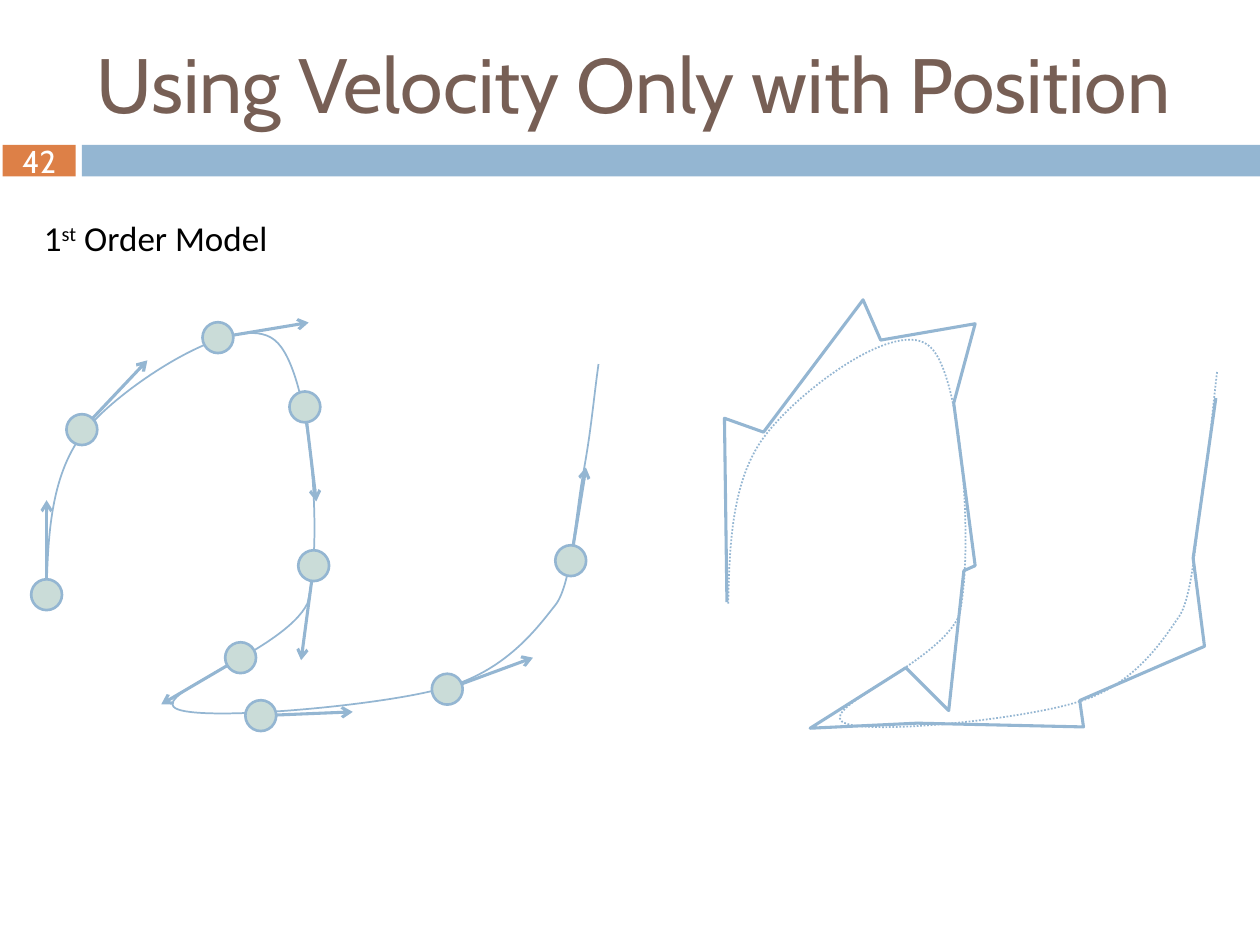
from dataclasses import dataclass

from lxml.etree import SubElement
from pptx import Presentation
from pptx.dml.color import RGBColor
from pptx.enum.dml import MSO_LINE
from pptx.enum.shapes import MSO_CONNECTOR, MSO_SHAPE
from pptx.enum.text import MSO_ANCHOR, PP_ALIGN
from pptx.oxml.ns import qn
from pptx.util import Cm, Length, Pt

BLUE = RGBColor(0x94, 0xB6, 0xD2)
ORANGE = RGBColor(0xDD, 0x80, 0x47)
PALE_GREEN = RGBColor(0xCA, 0xDC, 0xD8)
BROWN = RGBColor(0x77, 0x5F, 0x55)
BLACK = RGBColor(0, 0, 0)
WHITE = RGBColor(0xFF, 0xFF, 0xFF)

CM_PER_UNIT = 2.54  # all coordinates below are in inches
MARKER_SIZE = 0.245
Point = tuple[float, float]


@dataclass
class Sample:
    """A position on the path and the tip of its velocity arrow."""
    position: Point
    tip: Point


SAMPLES = [
    Sample((0.37, 4.72), (0.37, 3.97)),
    Sample((0.65, 3.41), (1.17, 2.86)),
    Sample((1.73, 2.68), (2.45, 2.56)),
    Sample((2.42, 3.23), (2.51, 3.98)),
    Sample((2.49, 4.49), (2.39, 5.24)),
    Sample((1.91, 5.22), (1.28, 5.59)),
    Sample((2.07, 5.68), (2.80, 5.65)),
    Sample((3.55, 5.47), (4.23, 5.22)),
    Sample((4.53, 4.45), (4.65, 3.71)),
]

# Start point, then two control points and an end point for each segment
TRUE_PATH = [
    (0.37, 4.70),
    (0.38, 4.21), (0.41, 3.71), (0.71, 3.38),
    (1.01, 3.04), (1.89, 2.46), (2.18, 2.70),
    (2.47, 2.93), (2.57, 4.30), (2.44, 4.79),
    (2.26, 5.16), (1.21, 5.50), (1.39, 5.62),
    (1.56, 5.73), (2.96, 5.61), (3.49, 5.47),
    (4.02, 5.34), (4.28, 4.96), (4.41, 4.80),
    (4.54, 4.63), (4.57, 4.06), (4.63, 3.75),
    (4.69, 3.43), (4.71, 3.18), (4.75, 2.89),
]

PREDICTED_PATH = [
    (5.77, 4.78), (5.75, 3.32), (6.06, 3.43), (6.85, 2.38), (6.99, 2.70),
    (7.74, 2.57), (7.57, 3.20), (7.74, 4.49), (7.65, 4.53), (7.53, 5.64),
    (7.19, 5.30), (6.43, 5.78), (7.28, 5.74), (8.60, 5.77), (8.57, 5.56),
    (9.56, 5.13), (9.47, 4.43), (9.65, 3.16),
]


def lengths(*values: float) -> list[Length]:
    return [Cm(value * CM_PER_UNIT) for value in values]


def set_attributes(target, values: dict) -> None:
    for name, value in values.items():
        setattr(target, name, value)


def add_text(paragraph, text: str, font_format: dict, color: RGBColor):
    run = paragraph.add_run()
    run.text = text
    set_attributes(run.font, font_format)
    run.font.color.rgb = color
    return run


def add_text_box(slide, box: tuple, frame_format: dict):
    frame = slide.shapes.add_textbox(*lengths(*box)).text_frame
    set_attributes(frame, frame_format)
    return frame.paragraphs[0]


def add_filled_shape(slide, kind, box: tuple, fill: RGBColor):
    shape = slide.shapes.add_shape(kind, *lengths(*box))
    shape.shadow.inherit = False
    shape.fill.solid()
    shape.fill.fore_color.rgb = fill
    shape.line.fill.background()
    return shape


def set_line(shape, line_format: dict) -> None:
    shape.line.color.rgb = BLUE
    set_attributes(shape.line, line_format)


def add_path(slide, points: list[Point], line_format: dict, curved: bool = False) -> None:
    start, *rest = [tuple(lengths(*point)) for point in points]
    builder = slide.shapes.build_freeform(*start)
    builder.add_line_segments(rest, close=False)
    shape = builder.convert_to_shape()
    shape.shadow.inherit = False
    shape.fill.background()
    set_line(shape, line_format)
    if curved:
        # Merge every three straight segments into one Bezier segment
        path = next(shape._element.iter(qn("a:path")))
        segments = path.findall(qn("a:lnTo"))
        for first in range(0, len(segments), 3):
            bezier = SubElement(path, qn("a:cubicBezTo"))
            for segment in segments[first:first + 3]:
                bezier.append(segment[0])
                path.remove(segment)


def add_sample(slide, sample: Sample) -> None:
    arrow = slide.shapes.add_connector(
        MSO_CONNECTOR.STRAIGHT, *lengths(*sample.position, *sample.tip))
    set_line(arrow, {"width": Pt(1.75)})
    SubElement(arrow.line._get_or_add_ln(), qn("a:tailEnd"), type="arrow")
    SubElement(arrow._element.spPr, qn("a:effectLst"))
    left, top = (value - MARKER_SIZE / 2 for value in sample.position)
    marker = add_filled_shape(
        slide, MSO_SHAPE.OVAL, (left, top, MARKER_SIZE, MARKER_SIZE), PALE_GREEN)
    set_line(marker, {"width": Pt(1.5)})


def to_right_side(point: Point) -> Point:
    """Fit the left path into the frame on the right."""
    x, y = point
    return 5.78 + (x - 0.37) * 3.88 / 4.38, 2.51 + (y - 2.46) * 3.33 / 3.27


def main() -> None:
    presentation = Presentation()
    presentation.slide_width, presentation.slide_height = lengths(10, 7.5)
    slide = presentation.slides.add_slide(presentation.slide_layouts[6])

    # Slide number and header bar
    number = add_filled_shape(slide, MSO_SHAPE.RECTANGLE, (0.02, 1.15, 0.58, 0.25), ORANGE)
    set_attributes(number.text_frame, {
        "margin_left": 0, "margin_right": 0, "margin_top": 0, "margin_bottom": 0,
        "vertical_anchor": MSO_ANCHOR.MIDDLE, "word_wrap": True})
    paragraph = number.text_frame.paragraphs[0]
    paragraph.alignment = PP_ALIGN.CENTER
    add_text(paragraph, "42", {"name": "Cabin", "size": Pt(18)}, WHITE)
    add_filled_shape(slide, MSO_SHAPE.RECTANGLE, (0.65, 1.15, 9.35, 0.25), BLUE)

    # Model label
    paragraph = add_text_box(slide, (0.25, 1.67, 2.01, 0.44), {"word_wrap": False})
    label_format = {"name": "Calibri", "size": Pt(20)}
    add_text(paragraph, "1", label_format, BLACK)
    ordinal = add_text(paragraph, "st", label_format, BLACK)
    ordinal._r.get_or_add_rPr().set("baseline", "30000")
    add_text(paragraph, " Order Model", label_format, BLACK)

    # Left: true path with sampled velocities
    add_path(slide, TRUE_PATH, {"width": Pt(1)}, curved=True)
    for sample in SAMPLES:
        add_sample(slide, sample)

    # Right: dotted true path under the first-order prediction
    add_path(slide, [to_right_side(point) for point in TRUE_PATH],
             {"width": Pt(1), "dash_style": MSO_LINE.ROUND_DOT}, curved=True)
    add_path(slide, PREDICTED_PATH, {"width": Pt(1.75)})

    # Title
    paragraph = add_text_box(slide, (0.67, 0.25, 8.92, 0.82), {
        "word_wrap": True, "vertical_anchor": MSO_ANCHOR.MIDDLE})
    add_text(paragraph, "Using Velocity Only with Position",
             {"name": "Cabin", "size": Pt(44)}, BROWN)

    presentation.save("out.pptx")


if __name__ == "__main__":
    main()
